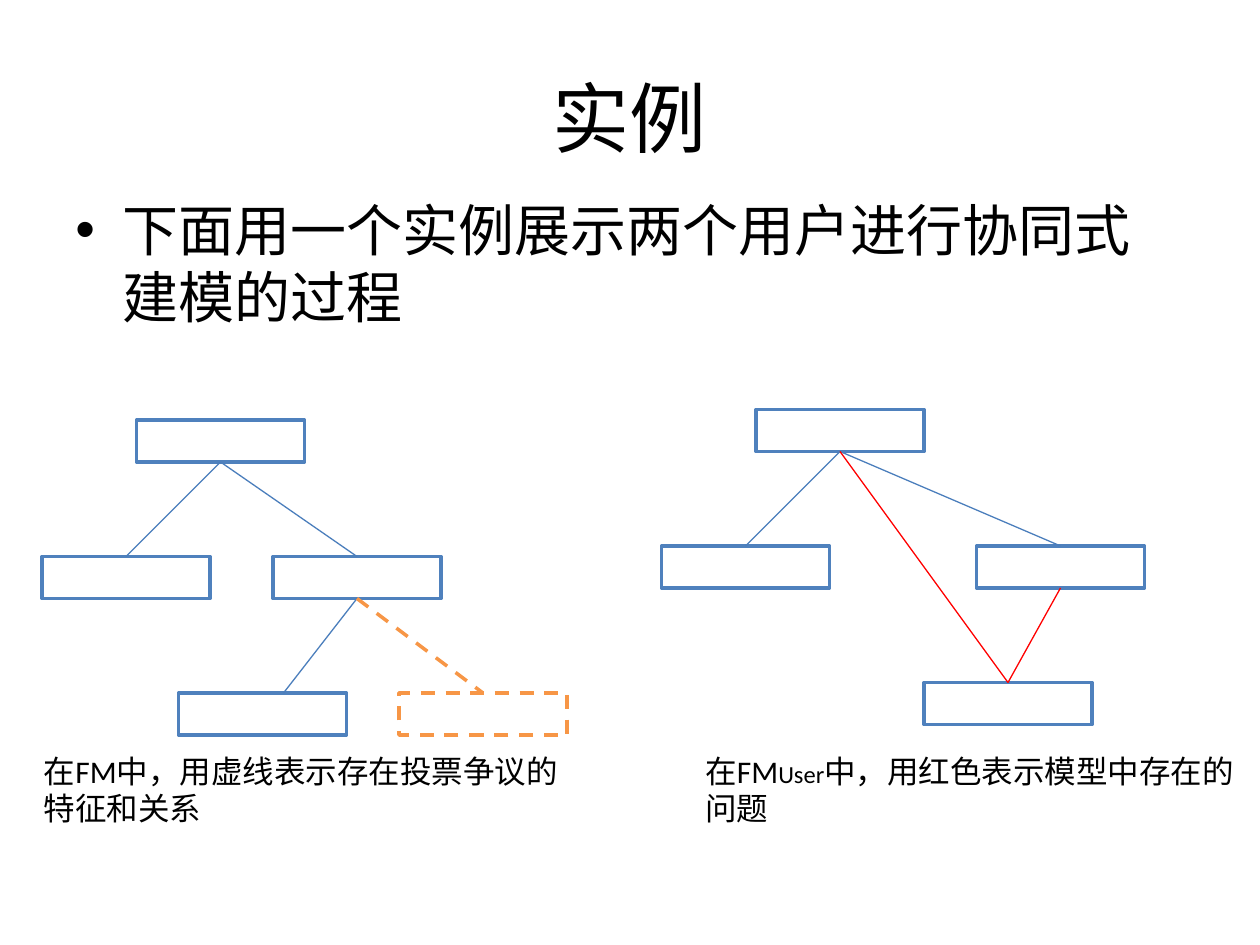
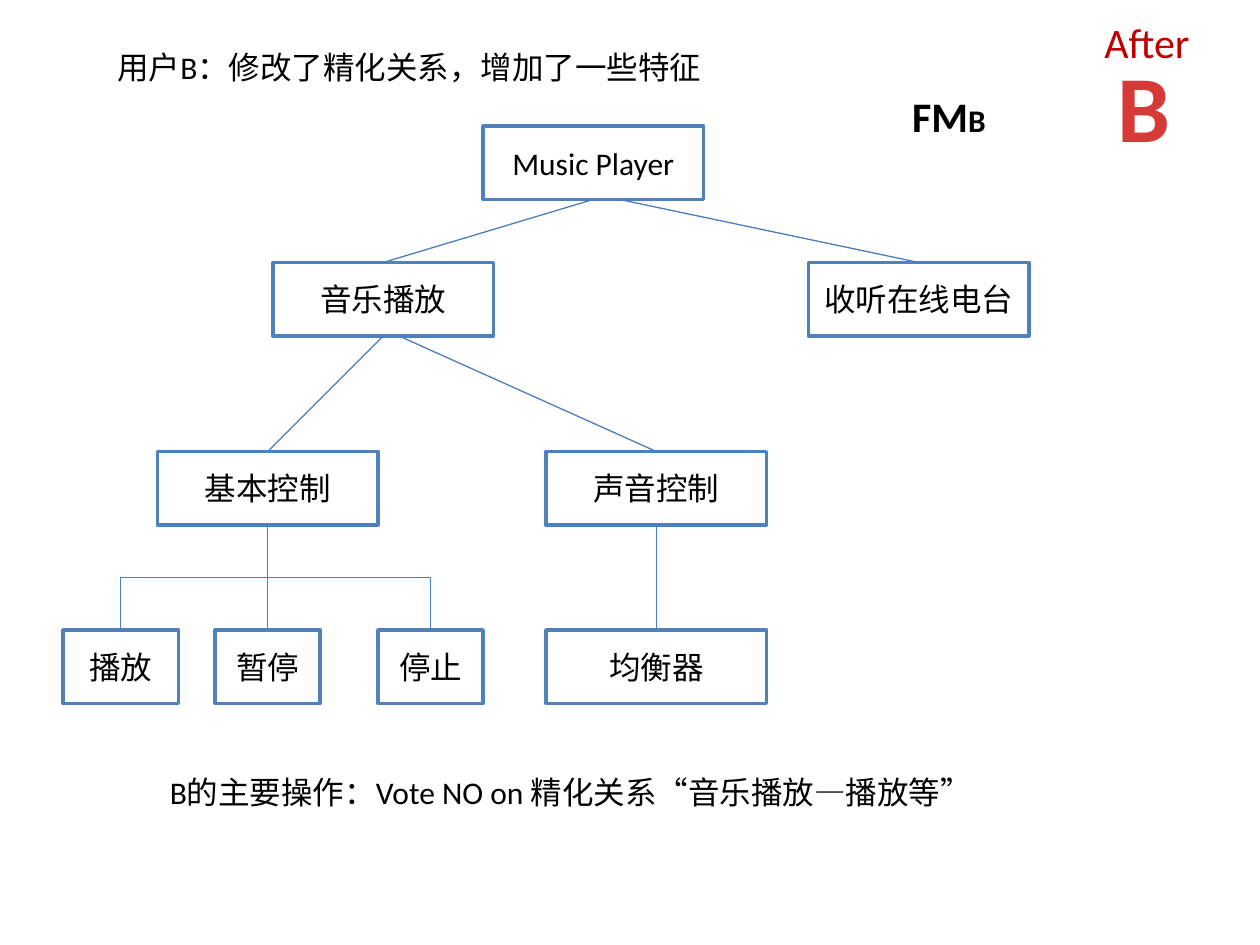
"""Build two slides that show collaborative feature modelling as trees."""
import pptx
import pptx.dml.color
import pptx.enum.dml
import pptx.enum.shapes
import pptx.enum.text
import pptx.oxml
import pptx.oxml.ns
import pptx.util
from lxml import etree

Pt = pptx.util.Pt
rgb = pptx.dml.color.RGBColor.from_string
ANCHOR = pptx.enum.text.MSO_ANCHOR
ALIGN = pptx.enum.text.PP_ALIGN
CONNECTOR = pptx.enum.shapes.MSO_CONNECTOR
DASH = pptx.enum.dml.MSO_LINE.DASH
qn = pptx.oxml.ns.qn

FONT = "Calibri"
BLACK, WHITE = "000000", "FFFFFF"
BLUE, LINK, ORANGE, RED = "4F81BD", "4B7EBC", "F79646", "FF0000"
DARK_RED, LETTER_RED = "C00000", "D73A36"


def add_runs(p, runs):
    for text, size, color, bold in runs:
        r = p.add_run()
        r.text = text
        r.font.name = FONT
        r.font.size = Pt(size)
        r.font.bold = bold
        r.font.color.rgb = rgb(color)


def add_link(s, kind, begin, end, color, width=0.75):
    c = s.shapes.add_connector(kind, *[Pt(v) for v in (*begin, *end)])
    c.line.color.rgb = rgb(color)
    c.line.width = Pt(width)
    if color == ORANGE:
        c.line.dash_style = DASH
    etree.SubElement(c._element.spPr, qn("a:effectLst"))
    return c


caption = {"indent": 36, "level": 1}
example = {
    "boxes": {
        "left root": (78, 240, 96, 24, "", BLUE),
        "left a": (24, 318, 96, 24, "", BLUE),
        "left b": (156, 318, 96, 24, "", BLUE),
        "left b1": (102, 396, 96, 24, "", BLUE),
        "disputed": (228, 396, 96, 24, "", ORANGE),
        "right root": (432, 234, 96, 24, "", BLUE),
        "right a": (378, 312, 96, 24, "", BLUE),
        "right b": (558, 312, 96, 24, "", BLUE),
        "right b1": (528, 390, 96, 24, "", BLUE),
    },
    "links": [
        ("left root", "left a", 0, 0, LINK, 0.75),
        ("left root", "left b", 0, 0, LINK, 0.75),
        ("left b", "left b1", 0, 12, LINK, 0.75),
        ("left b", "disputed", 0, 0, ORANGE, 2),
        ("right root", "right a", 0, 0, LINK, 0.75),
        ("right root", "right b", 0, 0, LINK, 0.75),
        ("right b", "right b1", 0, 0, RED, 0.75),
        ("right root", "right b1", 0, 0, RED, 0.75),
    ],
    "elbows": [],
    "texts": [
        ((36, 21.6, 648, 90), [("实例", 44, BLACK, False)],
         {"align": ALIGN.CENTER, "anchor": ANCHOR.MIDDLE, "grow": False}),
        ((36, 108, 648, 90), [("下面用一个实例展示两个用户进行协同式建模的过程", 32, BLACK, False)],
         {"indent": 27, "bullet": "•", "grow": False}),
        ((-18, 426, 360, 51), [("在FM中，用虚线表示存在投票争议的特征和关系", 18, BLACK, False)], caption),
        ((360, 426, 360, 51), [("在FM", 18, BLACK, False), ("User", 14, BLACK, False),
                               ("中，用红色表示模型中存在的问题", 18, BLACK, False)], caption),
    ],
}
after_b = {
    "boxes": {
        "player": (276, 72, 126, 42, "Music Player", BLUE),
        "playback": (156, 150, 126, 42, "音乐播放", BLUE),
        "radio": (462, 150, 126, 42, "收听在线电台", BLUE),
        "basic": (90, 258, 126, 42, "基本控制", BLUE),
        "sound": (312, 258, 126, 42, "声音控制", BLUE),
        "play": (36, 360, 66, 42, "播放", BLUE),
        "pause": (123, 360, 60, 42, "暂停", BLUE),
        "stop": (216, 360, 60, 42, "停止", BLUE),
        "equalizer": (312, 360, 126, 42, "均衡器", BLUE),
    },
    "links": [
        ("player", "playback", 0, 0, LINK, 0.75),
        ("player", "radio", 15, 0, LINK, 0.75),
        ("playback", "basic", 0, 0, LINK, 0.75),
        ("playback", "sound", 9, 0, LINK, 0.75),
        ("sound", "equalizer", 0, 0, LINK, 0.75),
    ],
    "elbows": [("basic", "play"), ("basic", "pause"), ("basic", "stop")],
    "texts": [
        ((60, 24, 366, 29), [("用户B：修改了精化关系，增加了一些特征", 18, BLACK, False)], {}),
        ((510, 48, 186, 36), [(" ", 18, BLACK, False), ("FM", 24, BLACK, True),
                              ("B", 18, BLACK, True)], {}),
        ((90, 438, 540, 29),
         [("B的主要操作：Vote NO on 精化关系“音乐播放—播放等”", 18, BLACK, False)], {}),
        ((631.5, 24, 45, 72.7), [("B", 54, LETTER_RED, True)],
         {"align": ALIGN.CENTER, "wrap": False}),
        ((624, 6, 108, 36), [("After", 24, DARK_RED, False)], {}),
    ],
}

prs = pptx.Presentation()
prs.slide_width, prs.slide_height = Pt(720), Pt(540)

for content in (example, after_b):
    s = prs.slides.add_slide(prs.slide_layouts[6])
    shapes, tops, bottoms = {}, {}, {}

    for name, (x, y, w, h, label, color) in content["boxes"].items():
        sp = s.shapes.add_shape(pptx.enum.shapes.MSO_SHAPE.RECTANGLE, Pt(x), Pt(y), Pt(w), Pt(h))
        sp.shadow.inherit = False
        sp.fill.solid()
        sp.fill.fore_color.rgb = rgb(WHITE)
        sp.line.color.rgb = rgb(color)
        sp.line.width = Pt(2)
        if color == ORANGE:
            sp.line.dash_style = DASH
        if label:
            tf = sp.text_frame
            tf.word_wrap = True
            tf.vertical_anchor = ANCHOR.MIDDLE
            tf.paragraphs[0].alignment = ALIGN.CENTER
            add_runs(tf.paragraphs[0], [(label, 18, BLACK, False)])
        shapes[name] = sp
        tops[name], bottoms[name] = (x + w / 2, y), (x + w / 2, y + h)

    for parent, child, begin_dx, end_dx, color, width in content["links"]:
        (x1, y1), (x2, y2) = bottoms[parent], tops[child]
        c = add_link(s, CONNECTOR.STRAIGHT, (x1 + begin_dx, y1), (x2 + end_dx, y2), color, width)
        if not begin_dx:
            c.begin_connect(shapes[parent], 2)
        if not end_dx:
            c.end_connect(shapes[child], 0)

    for parent, child in content["elbows"]:
        (x1, y1), (x2, y2) = bottoms[parent], tops[child]
        cx, cy = (x1 + x2) / 2, (y1 + y2) / 2
        half_w, half_h = (y2 - y1) / 2, abs(x2 - x1) / 2
        turn = 1 if x2 <= x1 else -1
        c = add_link(s, CONNECTOR.ELBOW, (cx - turn * half_w, cy - half_h),
                     (cx + turn * half_w, cy + half_h), LINK)
        c._element.spPr.find(qn("a:xfrm")).set("rot", "5400000" if turn == 1 else "16200000")

    for place, runs, style in content["texts"]:
        tf = s.shapes.add_textbox(*[Pt(v) for v in place]).text_frame
        tf.word_wrap = style.get("wrap", True)
        tf.vertical_anchor = style.get("anchor", ANCHOR.TOP)
        if style.get("grow", True):
            tf.auto_size = pptx.enum.text.MSO_AUTO_SIZE.SHAPE_TO_FIT_TEXT
        p = tf.paragraphs[0]
        p.alignment = style.get("align", ALIGN.LEFT)
        p.level = style.get("level", 0)
        if "indent" in style:
            pPr = p._p.get_or_add_pPr()
            pPr.set("marL", str(Pt(style["indent"])))
            pPr.set("indent", str(-Pt(style["indent"]) if "bullet" in style else 0))
        if "bullet" in style:
            etree.SubElement(pPr, qn("a:buFont")).set("typeface", "Arial")
            etree.SubElement(pPr, qn("a:buChar")).set("char", style["bullet"])
        add_runs(p, runs)

prs.save("out.pptx")
